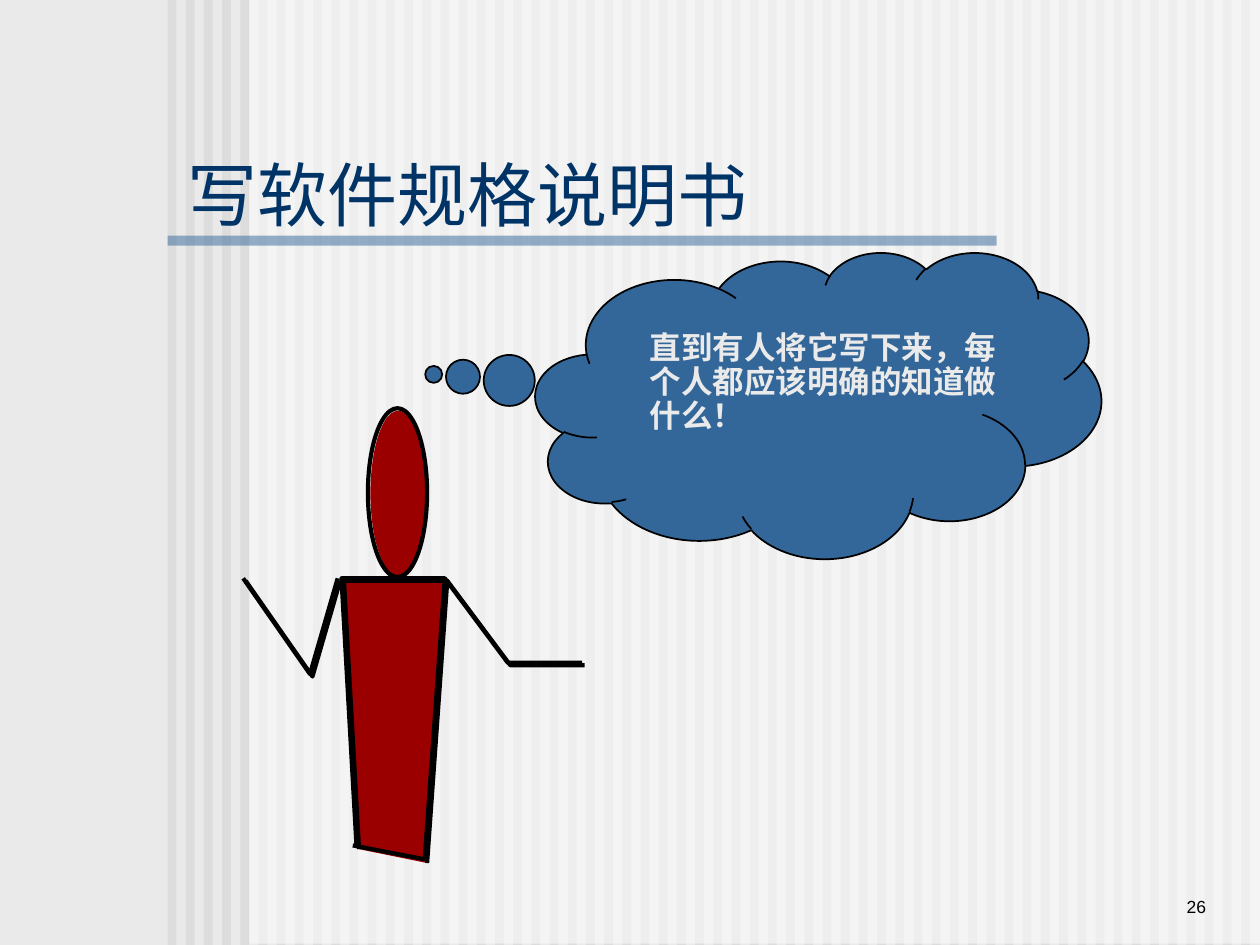
from dataclasses import dataclass
from lxml.etree import SubElement
from pptx import Presentation
from pptx.dml.color import RGBColor
from pptx.enum.shapes import MSO_CONNECTOR as Connector, MSO_SHAPE as Shape
from pptx.enum.text import MSO_ANCHOR as Anchor, PP_ALIGN as Align
from pptx.oxml.ns import qn
from pptx.slide import Slide
from pptx.util import Inches, Pt

BLACK = RGBColor(0x00, 0x00, 0x00)
WHITE = RGBColor(0xFF, 0xFF, 0xFF)
PAPER = RGBColor(0xEA, 0xEA, 0xEA)
STRIPE = RGBColor(0xDD, 0xDD, 0xDD)
BLUE = RGBColor(0x33, 0x66, 0x99)
NAVY = RGBColor(0x00, 0x33, 0x66)
RED = RGBColor(0x9A, 0x00, 0x00)

STRIPE_COUNT = 60
STRIPE_LEFT, STRIPE_RIGHT = 1.33, 9.85
STROKE = 2.38
SHIFT = 0.02

TORSO = [(2.85, 6.74), (2.73, 4.61), (3.55, 4.61), (3.39, 6.85)]
LEFT_ARM = [(2.70, 4.61), (2.48, 5.37), (1.95, 4.61)]
RIGHT_ARM = [(3.55, 4.61), (4.05, 5.28), (4.64, 5.28)]


@dataclass
class Painter:
    page: Slide
    latin: str = "Arial"
    asian: str = "Noto Sans CJK SC"

    def paint(self, shape, fill=None, line=None, alpha=None):
        shape.shadow.inherit = False
        if fill is None:
            shape.fill.background()
        else:
            shape.fill.solid()
            shape.fill.fore_color.rgb = fill
        if alpha is not None:
            color = shape.element.spPr.find(qn("a:solidFill"))[0]
            SubElement(color, qn("a:alpha")).set("val", str(alpha * 1000))
        if line is None:
            shape.line.fill.background()
        else:
            shape.line.color.rgb = BLACK
            shape.line.width = Pt(line)
        return shape

    def shape(self, kind, left, top, width, height, parent=None, **style):
        shapes = (parent or self.page).shapes
        area = [Inches(value) for value in (left, top, width, height)]
        return self.paint(shapes.add_shape(kind, *area), **style)

    def outline(self, points, close=False, shift=0, **style):
        spots = [(Inches(x - shift), Inches(y - shift)) for x, y in points]
        builder = self.page.shapes.build_freeform(*spots[0])
        builder.add_line_segments(spots[1:], close=close)
        return self.paint(builder.convert_to_shape(), **style)

    def double_line(self, points):
        for shift in (0, SHIFT):
            self.outline(points, shift=shift, line=STROKE)

    def line(self, start, end):
        ends = [Inches(value) for value in (*start, *end)]
        line = self.page.shapes.add_connector(Connector.STRAIGHT, *ends)
        line.line.color.rgb = BLACK
        line.line.width = Pt(STROKE)
        SubElement(line.element.spPr, qn("a:effectLst"))

    def fill_text(self, box, text, size, color, font, anchor=Anchor.TOP,
                  align=Align.LEFT, bold=False, inset=(0.1, 0.05), spacing=1.0):
        frame = box.text_frame
        frame.word_wrap = True
        frame.vertical_anchor = anchor
        frame.margin_left = frame.margin_right = Inches(inset[0])
        frame.margin_top = frame.margin_bottom = Inches(inset[1])
        frame.text = text
        para = frame.paragraphs[0]
        para.alignment = align
        para.line_spacing = spacing
        para.space_before = Pt(0)
        span = para.runs[0]
        span.font.size = Pt(size)
        span.font.bold = bold
        span.font.color.rgb = color
        span.font.name = font
        for properties in box.element.iter(qn("a:rPr")):
            SubElement(properties, qn("a:ea")).set("typeface", self.asian)

    def text(self, text, area, **style):
        box = self.page.shapes.add_textbox(*[Inches(value) for value in area])
        self.fill_text(box, text, **style)

    def title(self, text, area, **style):
        title = self.page.shapes.title
        title.left, title.top, title.width, title.height = map(Inches, area)
        self.fill_text(title, text, **style)
        return title


def draw_backdrop(painter):
    backdrop = painter.page.shapes.add_group_shape()
    step = (STRIPE_RIGHT - STRIPE_LEFT) / (STRIPE_COUNT - 1)
    for index in range(STRIPE_COUNT):
        painter.shape(Shape.RECTANGLE, STRIPE_LEFT + index * step, 0, 0.07, 7.5,
                      parent=backdrop, fill=STRIPE)
    painter.shape(Shape.RECTANGLE, 1.98, -0.01, 8.02, 7.5,
                  parent=backdrop, fill=WHITE, alpha=50)
    painter.shape(Shape.RECTANGLE, STRIPE_LEFT, 1.87, 6.58, 0.08,
                  parent=backdrop, fill=BLUE, alpha=50)


def draw_person(painter):
    painter.shape(Shape.OVAL, 2.94, 3.26, 0.44, 1.31, fill=RED)
    painter.shape(Shape.OVAL, 2.92, 3.24, 0.47, 1.34, line=STROKE)
    painter.outline(TORSO, close=True, fill=RED)
    for points in (TORSO, LEFT_ARM, RIGHT_ARM):
        painter.double_line(points)
    painter.line((2.8, 6.71), (3.37, 6.82))


def main():
    deck = Presentation()
    deck.slide_width, deck.slide_height = Inches(10), Inches(7.5)
    page = deck.slides.add_slide(deck.slide_layouts[5])
    page.background.fill.solid()
    page.background.fill.fore_color.rgb = PAPER
    painter = Painter(page)

    draw_backdrop(painter)
    painter.text("26", (8.25, 6.83, 1.42, 0.5), size=10, color=BLACK,
                 font=painter.latin, anchor=Anchor.BOTTOM, align=Align.RIGHT)
    cloud = painter.shape(Shape.CLOUD_CALLOUT, 4.25, 2, 4.49, 2.43, fill=BLUE, line=1)
    cloud.adjustments[0], cloud.adjustments[1] = -0.68, -0.1
    title = painter.title("写软件规格说明书", (1.42, 1.17, 4.63, 0.73), size=40,
                          color=NAVY, font=painter.latin, anchor=Anchor.MIDDLE,
                          inset=(0.07, 0.03))
    cloud.element.addnext(title.element)
    draw_person(painter)
    painter.text("直到有人将它写下来，每个人都应该明确的知道做什么！",
                 (5.06, 2.59, 3.02, 0.91), size=18, color=PAPER,
                 font=painter.asian, bold=True, spacing=0.9)
    deck.save("out.pptx")


if __name__ == "__main__":
    main()
